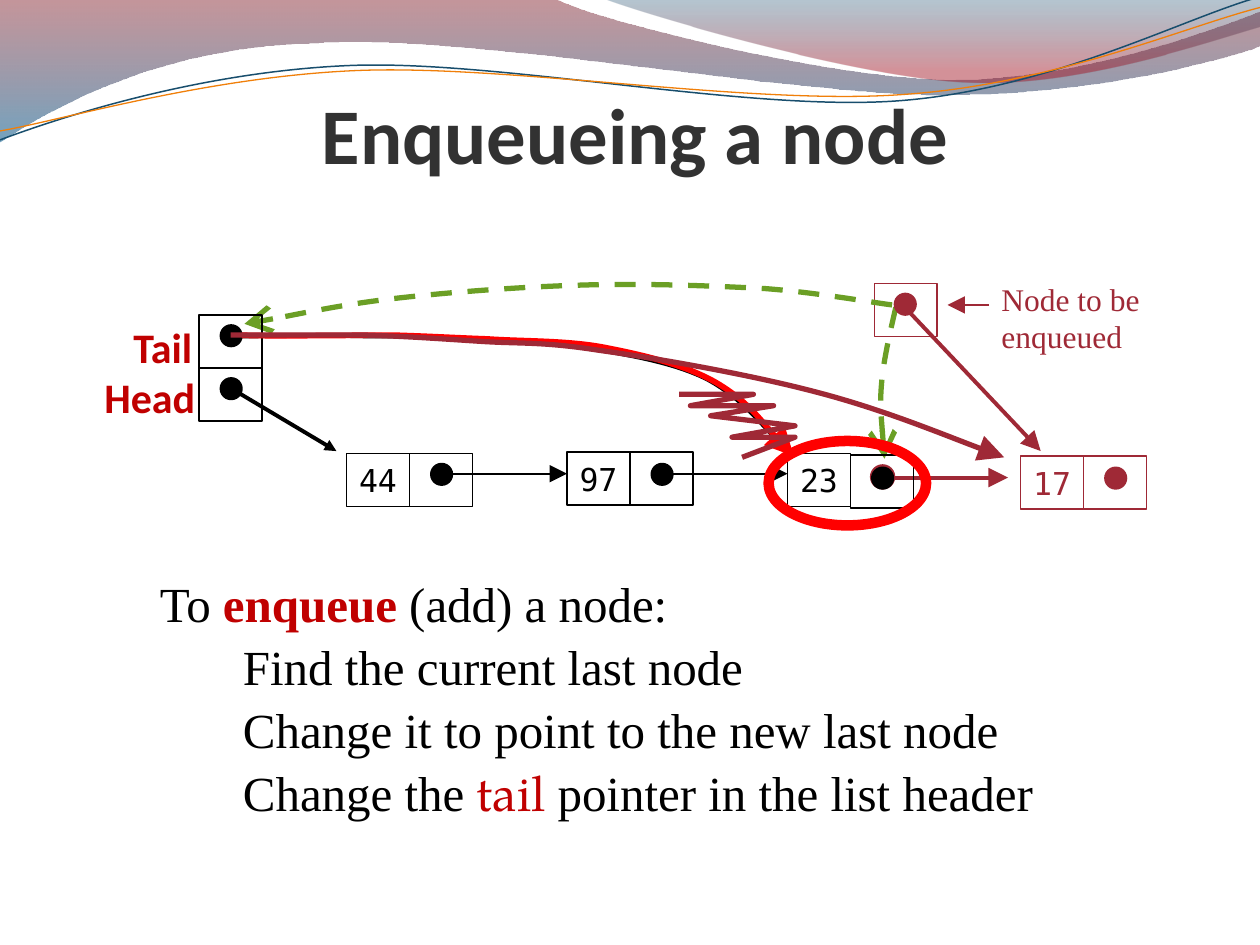
import math
import pptx
import pptx.dml.color
import pptx.enum.dml
import pptx.enum.shapes
import pptx.enum.text
import pptx.oxml
import pptx.oxml.ns
import pptx.util

SHAPE = pptx.enum.shapes.MSO_SHAPE
TEXT = pptx.enum.text
BLACK, WINE, GREEN, RED, CRIMSON = "000000", "9F2936", "6B9F25", "FF0000", "C00000"


def cm(inch):
    """Turn inches into a length."""
    return pptx.util.Cm(round(inch * 2.54, 3))


def color(code):
    return pptx.dml.color.RGBColor.from_string(code)


def make(name, **attrs):
    """Make an empty DrawingML element."""
    text = " ".join(f'{key}="{val}"' for key, val in attrs.items())
    return pptx.oxml.parse_xml(f"<a:{name} {pptx.oxml.ns.nsdecls('a')} {text}/>")


def write(par, text, size=18, font="Times New Roman", hue=BLACK, bold=False):
    """Add text to a paragraph; a newline becomes a line break."""
    for i, part in enumerate(text.split("\n")):
        if i:
            par.add_line_break()
        run = par.add_run()
        run.text = part
        run.font.size, run.font.name, run.font.bold = pptx.util.Pt(size), font, bold
        run.font.color.rgb = color(hue)


def bend(*pts):
    """Steps of joined cubic curves: a start, then two controls and an end each."""
    return [pts[:1]] + [pts[i:i + 3] for i in range(1, len(pts), 3)]


def spin(steps, mid, angle):
    """Turn all points about a middle."""
    cos, sin = math.cos(math.radians(angle)), math.sin(math.radians(angle))
    return [tuple((mid[0] + (x - mid[0]) * cos - (y - mid[1]) * sin,
                   mid[1] + (x - mid[0]) * sin + (y - mid[1]) * cos) for x, y in step)
            for step in steps]


class Board:
    """Holds the current slide and the style of its list diagram."""
    cell_w, cell_h, dot_d = 0.5, 0.42, 0.17
    mono = "DejaVu Sans Mono"

    def __init__(self, slide):
        self.shapes = slide.shapes

    def stroke(self, line, hue, width, head=None, size="lg", dash=False):
        line.color.rgb = color(hue)
        line.width = pptx.util.Pt(width)
        if dash:
            line.dash_style = pptx.enum.dml.MSO_LINE.DASH
        if head:
            line._get_or_add_ln().append(make("tailEnd", type=head, w=size, len=size))

    def form(self, kind, x, y, w, h, hue, width=1, fill=None):
        shape = self.shapes.add_shape(kind, cm(x), cm(y), cm(w), cm(h))
        shape.shadow.inherit = False
        if fill:
            shape.fill.solid()
            shape.fill.fore_color.rgb = color(fill)
        else:
            shape.fill.background()
        self.stroke(shape.line, hue, width)
        return shape

    def cell(self, x, y, hue=BLACK, text=None):
        shape = self.form(SHAPE.RECTANGLE, x, y, self.cell_w, self.cell_h, hue)
        if text:
            frame = shape.text_frame
            frame.word_wrap = False
            frame.vertical_anchor = TEXT.MSO_ANCHOR.MIDDLE
            frame.paragraphs[0].alignment = TEXT.PP_ALIGN.CENTER
            write(frame.paragraphs[0], text, font=self.mono, hue=hue)

    def dot(self, x, y, hue=BLACK, width=1):
        self.form(SHAPE.OVAL, x, y, self.dot_d, self.dot_d, hue, width, fill=hue)

    def node(self, x, y, text, low, spot, hue=BLACK):
        """A value cell at y, a pointer cell at low and its dot at spot."""
        self.cell(x, y, hue, text)
        self.cell(x + self.cell_w, low, hue)
        self.dot(x + self.cell_w + 0.17, spot, hue)

    def arrow(self, x1, y1, x2, y2, hue=BLACK, width=1, size="lg"):
        kind = pptx.enum.shapes.MSO_CONNECTOR.STRAIGHT
        line = self.shapes.add_connector(kind, cm(x1), cm(y1), cm(x2), cm(y2))
        line._element.spPr.append(make("effectLst"))
        self.stroke(line.line, hue, width, "triangle", size)

    def draw(self, steps, close=False):
        """An outline; a step of three points is a curve, of one a line."""
        pts = [(cm(x), cm(y)) for step in steps for x, y in step]
        pen = self.shapes.build_freeform(*pts[0])
        pen.add_line_segments(pts[1:], close=close)
        shape = pen.convert_to_shape()
        shape.shadow.inherit = False
        lines = iter(list(shape._element.iter(pptx.oxml.ns.qn("a:lnTo"))))
        for step in steps[1:]:
            part = [next(lines) for _ in step]
            if len(part) == 3:
                curve = make("cubicBezTo")
                part[0].addprevious(curve)
                for line in part:
                    curve.append(line[0])
                    line.getparent().remove(line)
        return shape

    def trace(self, steps, hue, width, head=None, dash=False, turn=0):
        shape = self.draw(steps)
        shape.rotation = turn
        shape.fill.background()
        self.stroke(shape.line, hue, width, head, dash=dash)

    def wave(self, steps, *stops):
        """A closed outline with a see-through fade from top to bottom."""
        shape = self.draw(steps, close=True)
        shape.line.fill.background()
        shape.fill.gradient()
        shape.fill.gradient_angle = 270
        for stop, (place, hue, alpha) in zip(shape.fill.gradient_stops, stops):
            stop.position = place
            stop.color.rgb = color(hue)
            stop._gs[0].append(make("alpha", val=alpha * 1000))

    def text(self, x, y, w, h, *runs):
        """A text box; each run is a text and a dict of its format."""
        frame = self.shapes.add_textbox(cm(x), cm(y), cm(w), cm(h)).text_frame
        frame.word_wrap = True
        for text, style in runs:
            write(frame.paragraphs[0], text, **style)
        return frame


def waves(board):
    board.wave(
        [((0, 0),)] + bend((4.4, -0.01), (4.76, 0.17), (6.64, 0.63), (7.58, 0.63),
                           (8.53, 0.63), (9.58, 0.26), (10, 0.09))
        + bend((10.01, 0.36), (9.83, 0.44), (8.7, 0.76), (7.46, 0.75), (6.22, 0.75),
               (3.82, 0.28), (2.57, 0.34), (1.29, 0.36), (0.46, 0.83), (-0.01, 1.13)),
        (0, "7E1621", 45), (1, "005689", 55))
    board.wave(
        bend((4.79, -0.01), (5.09, 0.11), (6.82, 0.62), (7.69, 0.65),
             (8.56, 0.69), (9.61, 0.32), (10, 0.21)) + [((10, 0),)],
        (0, "094467", 30), (0.8, "A10F1F", 45))
    tilt = 2.7
    blue = bend((0, 1.11), (0.48, 0.93), (1.58, 0.57), (2.77, 0.52), (3.95, 0.47),
                (5.93, 0.89), (7.13, 0.8), (8.33, 0.71), (9.38, 0.15), (9.98, -0.02))
    gold = bend((0, 1.04), (0.47, 0.96), (1.64, 0.61), (2.83, 0.56), (4.03, 0.51),
                (5.97, 0.84), (7.17, 0.75), (8.36, 0.67), (9.41, 0.21), (10, 0.06))
    board.trace(spin(blue, (4.99, 0.58), tilt), "184E6D", 0.85, turn=-tilt)
    board.trace(spin(gold, (5, 0.59), tilt), "F07F09", 0.75, turn=-tilt)


def title(board):
    frame = board.text(0.5, 0.58, 9.08, 0.85, (
        "Enqueueing a node", dict(size=45, font="Calibri", hue="323232", bold=True)))
    frame.vertical_anchor = TEXT.MSO_ANCHOR.BOTTOM
    frame.margin_left = frame.margin_right = frame.margin_bottom = 0
    frame.paragraphs[0].alignment = TEXT.PP_ALIGN.CENTER


def added(board):
    """The new node and the dashed hints."""
    board.dot(6.92, 3.7, WINE, 2.25)
    board.arrow(7, 3.79, 8, 3.79, WINE, 2.25)
    board.trace(bend((7.11, 2.44), (7.09, 2.53), (7.02, 2.81), (7, 3.01),
                     (6.98, 3.21), (7.01, 3.51), (7.02, 3.64)), GREEN, 3, "arrow", True)
    board.dot(7.1, 2.33, WINE)
    board.node(8.1, 3.62, "17", 3.62, 3.71, WINE)
    board.cell(6.94, 2.25, WINE)
    board.text(7.85, 2.17, 1.67, 0.9, ("Node to be enqueued", dict(hue=WINE)))
    board.arrow(7.85, 2.42, 7.52, 2.42, WINE, 1.5)
    board.trace([((7.23, 2.49),), ((8.26, 3.58),)], WINE, 2.25, "triangle")
    board.trace(bend((7.08, 2.42), (6.92, 2.4), (6.47, 2.32), (6.07, 2.29), (5.68, 2.27),
                     (5.2, 2.25), (4.72, 2.26), (4.24, 2.27), (3.67, 2.31), (3.21, 2.36),
                     (2.74, 2.41), (2.2, 2.53), (1.94, 2.57)), GREEN, 3, "arrow", True)


def rules(board):
    body = dict(size=28)
    board.text(1.17, 4.5, 6.08, 0.57, ("To ", body),
               ("enqueue", dict(size=28, hue=CRIMSON, bold=True)), (" (add) a node:", body))
    tail = ("tail ", dict(size=28, font="TeX Gyre Pagella", hue=CRIMSON))
    rows = [[("Find the current last node", body)],
            [("Change it to point to the new last node", body)],
            [("Change the ", body), tail, ("pointer in the list header", body)]]
    for i, (wide, runs) in enumerate(zip((5.75, 6.92, 6.92), rows)):
        board.text(1.83, 5 + 0.5 * i, wide, 0.57, *runs)


def chain(board):
    """The list header and the three nodes it had before."""
    board.trace(bend((1.83, 2.67), (2.15, 2.67), (2.59, 2.66), (2.92, 2.67), (3.24, 2.67),
                     (3.49, 2.67), (3.79, 2.69), (4.08, 2.7), (4.39, 2.71), (4.7, 2.77),
                     (5, 2.82), (5.35, 2.88), (5.61, 3.01), (5.87, 3.15), (6.12, 3.46),
                     (6.26, 3.58)), BLACK, 2.25, "triangle")
    board.node(2.75, 3.6, "44", 3.6, 3.68)
    board.node(4.5, 3.59, "97", 3.59, 3.68)
    board.node(6.25, 3.6, "23", 3.61, 3.71)
    for x in (3.5, 5.25):
        board.arrow(x, 3.76, x + 1, 3.76)
    for y in (2.5, 2.92):
        board.cell(1.58, y)
        board.dot(1.75, y + 0.08)
    board.arrow(1.83, 3.08, 2.67, 3.58, BLACK, 2.25, "med")
    frame = board.text(0.58, 2.5, 1.33, 0.91, (
        "Tail\nHead", dict(size=24, font="Calibri", hue=CRIMSON, bold=True)))
    props = frame.paragraphs[0]._p.get_or_add_pPr()
    props.set("marL", str(int(cm(0.15))))
    props.set("indent", str(int(cm(0.23))))


def marks(board):
    """The old last node, the new tail link and the crossed-out link."""
    board.trace(bend((1.92, 2.66), (2.12, 2.67), (2.8, 2.66), (3.12, 2.66), (3.45, 2.67),
                     (3.59, 2.68), (3.87, 2.69), (4.15, 2.71), (4.51, 2.7), (4.81, 2.76),
                     (5.12, 2.82), (5.45, 2.9), (5.69, 3.04), (5.94, 3.19), (6.17, 3.5),
                     (6.3, 3.62)), RED, 3.25, "triangle")
    board.form(SHAPE.OVAL, 6.1, 3.5, 1.25, 0.67, RED, 6)
    board.trace(bend((1.83, 2.66), (2.01, 2.66), (2.58, 2.66), (2.91, 2.66), (3.24, 2.67),
                     (3.51, 2.69), (3.82, 2.71), (4.13, 2.73), (4.3, 2.71), (4.75, 2.78),
                     (5.19, 2.84), (5.94, 2.97), (6.47, 3.11), (7.01, 3.25), (7.66, 3.52),
                     (7.97, 3.63)), WINE, 3, "triangle")
    zigzag = [(5.39, 3.13), (5.98, 3.13), (5.48, 3.22), (6.14, 3.22), (5.64, 3.3),
              (6.31, 3.38), (5.81, 3.47), (6.31, 3.47), (5.89, 3.63)]
    board.trace([(spot,) for spot in zigzag], WINE, 3)


deck = pptx.Presentation()
deck.slide_width, deck.slide_height = cm(10), cm(7.5)
page = Board(deck.slides.add_slide(deck.slide_layouts[6]))
for part in (waves, title, added, rules, chain, marks):
    part(page)
deck.save("out.pptx")
